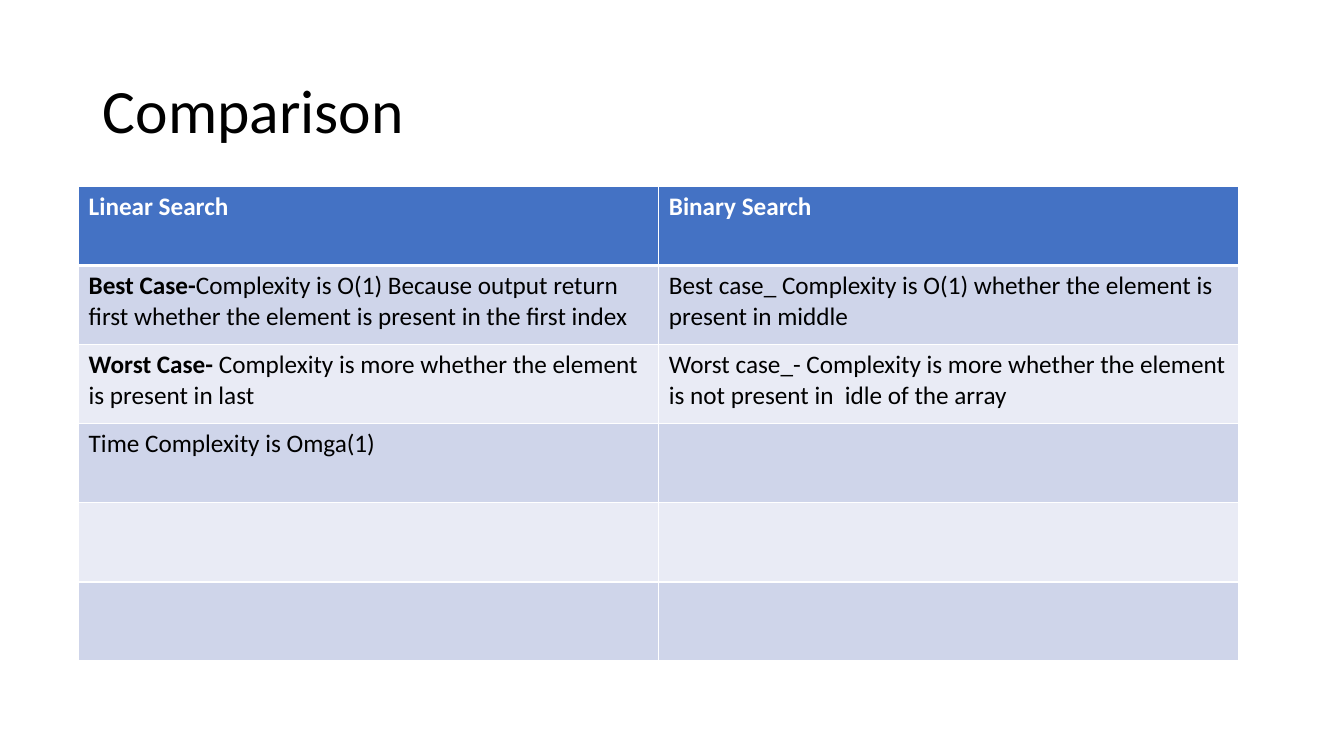
import pptx
import pptx.util
import pptx.dml.color
import pptx.enum.text
import pptx.oxml.ns
import lxml.etree

Inches = pptx.util.Inches
Pt = pptx.util.Pt

COLORS = {
    "text": "000000",
    "header_text": "FFFFFF",
    "header": "4472C4",
    "odd_row": "CFD5EA",
    "even_row": "E9EBF5",
    "border": "FFFFFF",
}
FONT = "Calibri"

# Each cell is a list of (text, bold) runs
ROWS = [
    [[("Linear Search", True)], [("Binary Search", True)]],
    [
        [("Best Case-", True),
         ("Complexity is O(1) Because output return first whether the element "
          "is present in the first index", False)],
        [("Best case_ Complexity is O(1) whether the element is present in middle", False)],
    ],
    [
        [("Worst Case- ", True),
         ("Complexity is more whether the element is present in last", False)],
        [("Worst case_- Complexity is more whether the element is not present in "
          " idle of the array", False)],
    ],
    [[("Time Complexity is Omga(1)", False)], []],
    [[], []],
    [[], []],
]


def rgb(name):
    return pptx.dml.color.RGBColor.from_string(COLORS[name])


def add_run(paragraph, text, size, color, bold=False):
    run = paragraph.add_run()
    run.text = text
    for attribute, value in {"name": FONT, "size": Pt(size), "bold": bold}.items():
        setattr(run.font, attribute, value)
    run.font.color.rgb = rgb(color)


def set_borders(cell, widths):
    """Draw cell borders from a dict of side letter to width in points."""
    properties = cell._tc.get_or_add_tcPr()
    qualified = pptx.oxml.ns.qn
    for side, width in widths.items():
        line = lxml.etree.SubElement(properties, qualified("a:ln" + side), w=str(Pt(width)))
        fill = lxml.etree.SubElement(line, qualified("a:solidFill"))
        lxml.etree.SubElement(fill, qualified("a:srgbClr"), val=COLORS["border"])


def place_title(slide, left, top, width, height, text):
    title = slide.shapes.title
    box = {"left": left, "top": top, "width": width, "height": height}
    for attribute, value in box.items():
        setattr(title, attribute, Inches(value))
    frame = title.text_frame
    frame.vertical_anchor = pptx.enum.text.MSO_ANCHOR.MIDDLE
    paragraph = frame.paragraphs[0]
    paragraph.alignment = pptx.enum.text.PP_ALIGN.LEFT
    paragraph.line_spacing = 0.9
    add_run(paragraph, text, 44, "text")


def add_comparison_table(slide, left, top, width, height, rows):
    box = [Inches(value) for value in (left, top, width, height)]
    table = slide.shapes.add_table(len(rows), len(rows[0]), *box).table
    for row_index, row in enumerate(rows):
        is_header = row_index == 0
        fill = "header" if is_header else "odd_row" if row_index % 2 else "even_row"
        # The rule under the header is thicker than the rest
        borders = {"L": 1, "R": 1, "T": 3 if row_index == 1 else 1, "B": 3 if is_header else 1}
        for column_index, runs in enumerate(row):
            cell = table.cell(row_index, column_index)
            set_borders(cell, borders)
            cell.fill.solid()
            cell.fill.fore_color.rgb = rgb(fill)
            paragraph = cell.text_frame.paragraphs[0]
            for text, bold in runs:
                add_run(paragraph, text, 18, "header_text" if is_header else "text", bold)


presentation = pptx.Presentation()
presentation.slide_width = Inches(13.33)
presentation.slide_height = Inches(7.5)
title_only = presentation.slide_layouts.get_by_name("Title Only")
slide = presentation.slides.add_slide(title_only)

place_title(slide, 0.92, 0.4, 11.5, 1.45, "Comparison")
add_comparison_table(slide, 0.78, 1.85, 11.51, 4.71, ROWS)

presentation.save("out.pptx")
